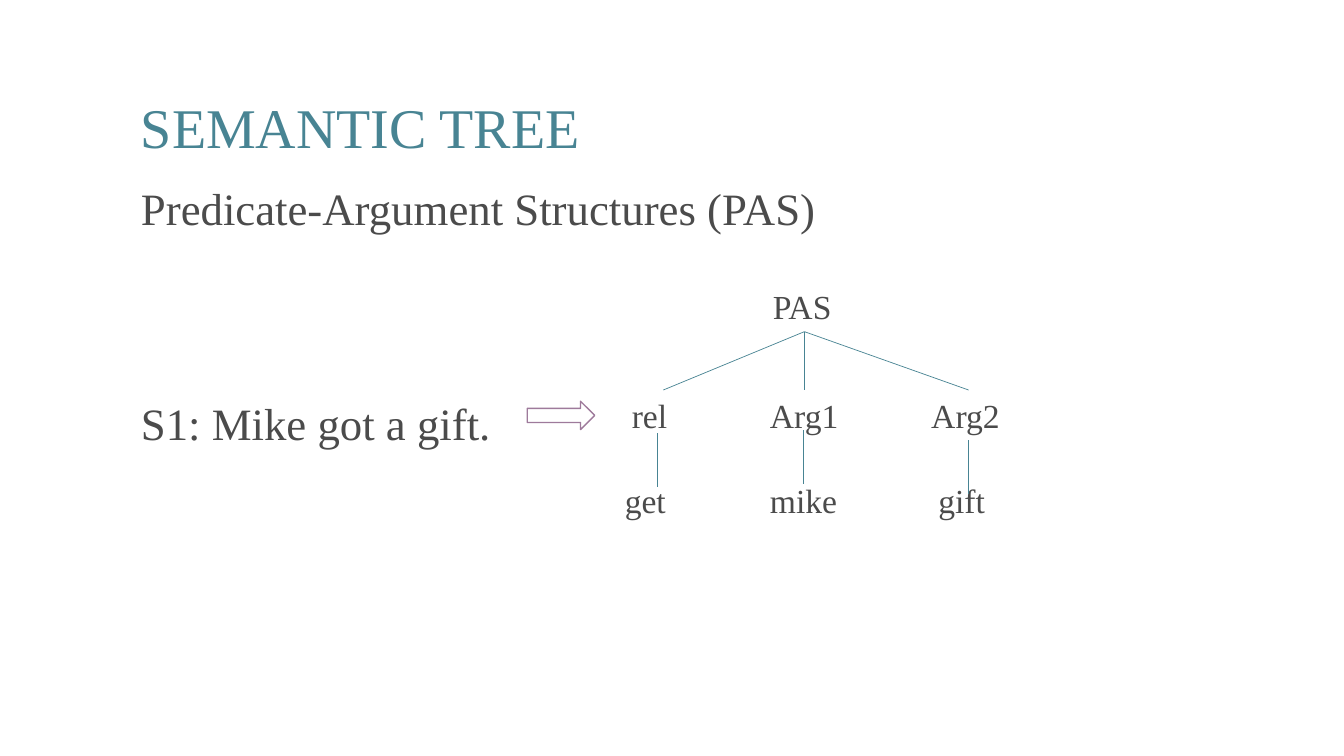
from pptx import Presentation
from pptx.util import Pt
from pptx.dml.color import RGBColor as RGB
from pptx.enum.shapes import MSO_CONNECTOR as Link, MSO_SHAPE as Form
from pptx.enum.text import MSO_ANCHOR as Anchor, PP_ALIGN as Align
from pptx.oxml.ns import qn
from lxml.etree import SubElement

FONT = "Times New Roman"
INK = {"teal": "488493", "gray": "4B4B4B", "plum": "9E7A9B", "white": "FFFFFF"}

# Tree columns: label, left; word, left; branch end x; stem x, stem top
COLS = [
    ("rel", 444.2, "get", 439.2, 473.8, 469.4, 309.6),
    ("Arg1", 542.9, "mike", 542.9, 574.6, 573.6, 307.4),
    ("Arg2", 658.1, "gift", 663.1, 691.9, 691.9, 314.6),
]
ROOT_X, ROOT_Y = 574.6, 236.9
ROLE_Y, WORD_Y = 278.6, 339.1
STEM = 38.2


def tint(name):
    return RGB.from_string(INK[name])


def add_run(para, text, size, color):
    run = para.add_run()
    run.text = text
    run.font.name = FONT
    run.font.size = Pt(size)
    run.font.color.rgb = tint(color)


def add_box(slide, x, y, w, h):
    box = slide.shapes.add_textbox(Pt(x), Pt(y), Pt(w), Pt(h))
    box.text_frame.word_wrap = True
    return box.text_frame


def add_label(slide, text, x, y):
    frame = add_box(slide, x, y, 68.4, 36)
    add_run(frame.paragraphs[0], text, 24, "gray")


def add_line(slide, x1, y1, x2, y2):
    line = slide.shapes.add_connector(Link.STRAIGHT, Pt(x1), Pt(y1), Pt(x2), Pt(y2))
    line.line.color.rgb = tint("teal")
    line.line.width = Pt(0.5)
    SubElement(line._element.spPr, qn("a:effectLst"))


def add_arrow(slide, x, y, w, h):
    arrow = slide.shapes.add_shape(Form.RIGHT_ARROW, Pt(x), Pt(y), Pt(w), Pt(h))
    arrow.shadow.inherit = False
    arrow.fill.solid()
    arrow.fill.fore_color.rgb = tint("white")
    arrow.line.color.rgb = tint("plum")
    arrow.line.width = Pt(1)


def add_tree(slide):
    add_label(slide, "PAS", 545, 200.9)
    for role, role_x, word, word_x, end_x, stem_x, stem_y in COLS:
        add_label(slide, role, role_x, ROLE_Y)
        add_label(slide, word, word_x, WORD_Y)
        add_line(slide, ROOT_X, ROOT_Y, end_x, ROLE_Y)
        add_line(slide, stem_x, stem_y, stem_x, stem_y + STEM)


def main():
    deck = Presentation()
    deck.slide_width, deck.slide_height = Pt(960), Pt(540)
    slide = deck.slides.add_slide(deck.slide_layouts[6])

    # Title
    title = add_box(slide, 93.6, 54.7, 772.6, 70.6)
    title.vertical_anchor = Anchor.MIDDLE
    add_run(title.paragraphs[0], "SEMANTIC TREE", 40, "teal")

    # Heading and example sentence
    body = add_box(slide, 93.6, 125.3, 772.6, 402.5)
    head, case = body.paragraphs[0], body.add_paragraph()
    head.alignment = case.alignment = Align.JUSTIFY
    case.space_before = Pt(115.5)
    add_run(head, "Predicate-Argument Structures (PAS)", 32, "gray")
    add_run(case, "S1: Mike got a gift.", 32, "gray")

    # Arrow from the sentence to its tree
    add_arrow(slide, 376.6, 286.6, 48.2, 20.2)
    add_tree(slide)
    deck.save("out.pptx")


if __name__ == "__main__":
    main()
